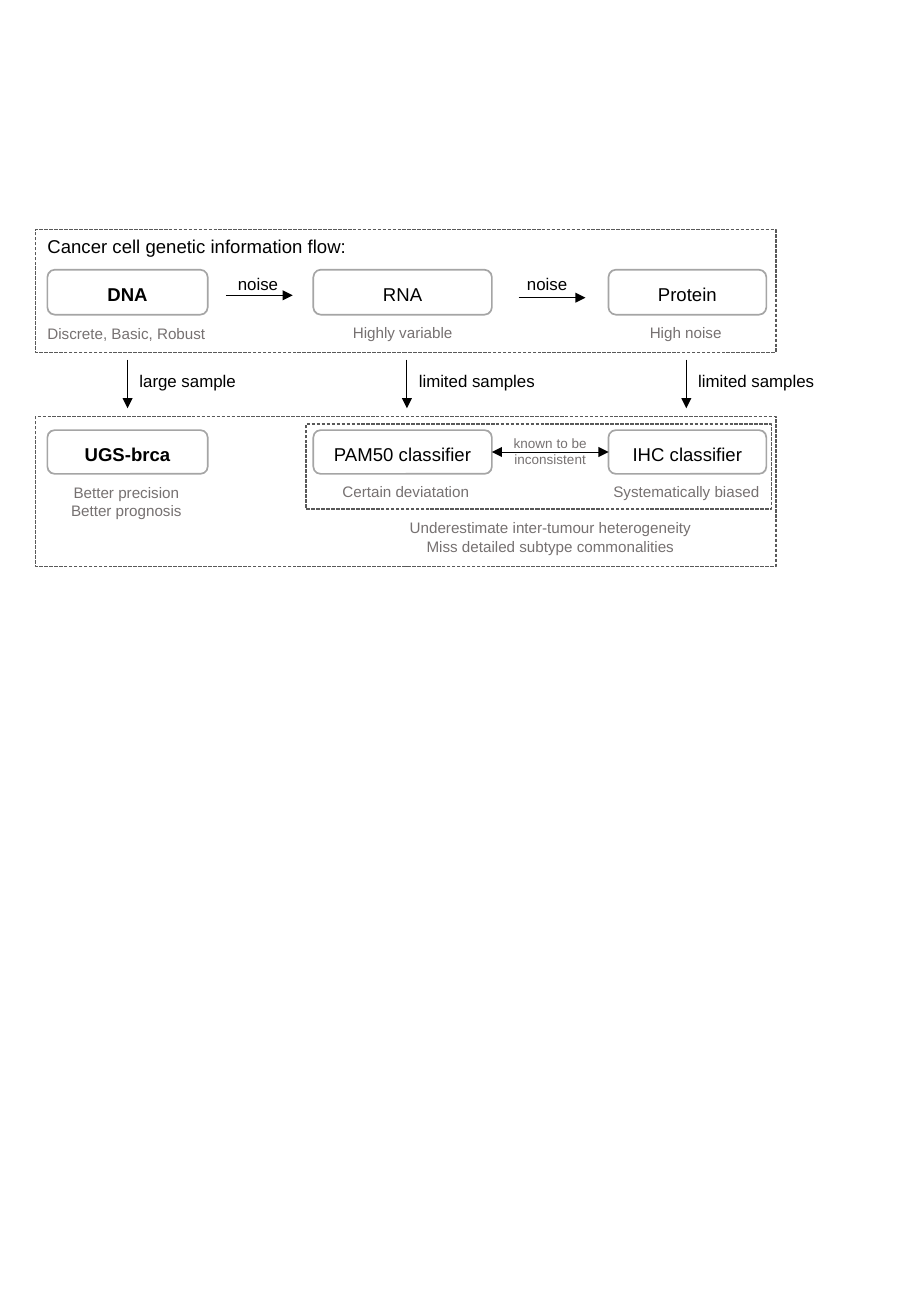
from lxml.etree import SubElement
from pptx import Presentation
from pptx.dml.color import RGBColor
from pptx.enum.dml import MSO_LINE
from pptx.enum.shapes import MSO_CONNECTOR, MSO_SHAPE
from pptx.enum.text import MSO_ANCHOR, MSO_AUTO_SIZE, PP_ALIGN
from pptx.oxml.ns import qn
from pptx.util import Inches, Pt

BLACK, GREY, EDGE, DASH = "000000", "767171", "A5A5A5", "595959"


def color(code):
    """Turn a hex string into a colour."""
    return RGBColor.from_string(code)


def grid(*cells):
    """Turn counts of tenth-inch columns or rows into lengths."""
    return [Inches(cell / 10) for cell in cells]


class Diagram:
    """Hold the shared style and the current slide."""

    font = "Arial"

    def __init__(self, page):
        """Remember the page to draw on."""
        self.page = page

    def add_lines(self, frame, lines, size, ink, align=PP_ALIGN.LEFT, bold=False, spacing=1.0):
        """Fill a text frame with one paragraph per line."""
        frame.word_wrap = True
        for index, line in enumerate(lines):
            para = frame.add_paragraph() if index else frame.paragraphs[0]
            para.alignment = align
            para.line_spacing = spacing
            para.space_before = Pt(0)
            span = para.add_run()
            span.text = line
            span.font.name = self.font
            span.font.size = Pt(size)
            span.font.bold = bold
            span.font.color.rgb = color(ink)

    def title(self, text, *place):
        """Move and format the title placeholder."""
        box = self.page.shapes.title
        box.left, box.top, box.width, box.height = grid(*place)
        frame = box.text_frame
        frame.auto_size = MSO_AUTO_SIZE.NONE
        frame.vertical_anchor = MSO_ANCHOR.MIDDLE
        self.add_lines(frame, [text], 11, BLACK)

    def outline(self, kind, place, edge, weight):
        """Add an unfilled, outlined shape."""
        box = self.page.shapes.add_shape(kind, *grid(*place))
        box.shadow.inherit = False
        box.fill.background()
        box.line.color.rgb = color(edge)
        box.line.width = Pt(weight)
        return box

    def frame(self, *place):
        """Add a dashed group frame."""
        box = self.outline(MSO_SHAPE.RECTANGLE, place, DASH, 0.75)
        box.line.dash_style = MSO_LINE.SQUARE_DOT

    def node(self, text, *place, bold=False):
        """Add a rounded box with a centred name."""
        box = self.outline(MSO_SHAPE.FLOWCHART_ALTERNATE_PROCESS, place, EDGE, 1)
        box.text_frame.vertical_anchor = MSO_ANCHOR.MIDDLE
        self.add_lines(box.text_frame, [text], 11, BLACK, PP_ALIGN.CENTER, bold, 1.2)

    def label(self, lines, *place, size=10, ink=BLACK, align=PP_ALIGN.LEFT):
        """Add a free text label."""
        box = self.page.shapes.add_textbox(*grid(*place))
        self.add_lines(box.text_frame, lines, size, ink, align)

    def note(self, lines, center, top, width, height=2.5, size=9):
        """Add a grey remark centred on a column position."""
        self.label(lines, center - width / 2, top, width, height,
                   size=size, ink=GREY, align=PP_ALIGN.CENTER)

    def arrow(self, *ends, both=False):
        """Add an arrow with one or two heads."""
        link = self.page.shapes.add_connector(MSO_CONNECTOR.STRAIGHT, *grid(*ends))
        link.line.color.rgb = color(BLACK)
        link.line.width = Pt(0.5)
        properties = link._element.spPr
        stroke = properties.find(qn("a:ln"))
        for tip in ("a:headEnd", "a:tailEnd") if both else ("a:tailEnd",):
            SubElement(stroke, qn(tip), type="triangle")
        SubElement(properties, qn("a:effectLst"))


def main():
    """Build and save the slide."""
    deck = Presentation()
    deck.slide_width, deck.slide_height = grid(75, 108.3)
    page = deck.slides.add_slide(deck.slide_layouts[5])
    diagram = Diagram(page)

    diagram.frame(2.9, 18.9, 61, 10.1)
    diagram.frame(2.9, 34.3, 61, 12.3)
    diagram.frame(25.2, 34.9, 38.3, 7)
    diagram.title("Cancer cell genetic information flow:", 2.9, 18.9, 61, 2.7)

    stages = [
        (3.9, 13.2, 10.5, "DNA", "UGS-brca", "large sample", True),
        (25.8, 14.7, 33.5, "RNA", "PAM50 classifier", "limited samples", False),
        (50.1, 13, 56.5, "Protein", "IHC classifier", "limited samples", False),
    ]
    for left, width, axis, molecule, method, sample, bold in stages:
        diagram.node(molecule, left, 22.2, width, 3.7, bold=bold)
        diagram.node(method, left, 35.4, width, 3.6, bold=bold)
        diagram.arrow(axis, 29.6, axis, 33.6)
        diagram.label([sample], axis, 30, 12.4, 2.7)

    for start, row, text_left in [(18.6, 24.3, 18.6), (42.7, 24.5, 42.4)]:
        diagram.arrow(start, row, start + 5.5, row)
        diagram.label(["noise"], text_left, 22, 5.8, 2.7)
    diagram.arrow(40.5, 37.2, 50.1, 37.2, both=True)

    diagram.note(["known to be inconsistent"], 45.3, 35.3, 9.6, 3.7, size=8)
    diagram.note(["Discrete, Basic, Robust"], 10.4, 26.2, 15.4)
    diagram.note(["Highly variable"], 33.15, 26.1, 13.7)
    diagram.note(["High noise"], 56.45, 26.1, 13.7)
    diagram.note(["Better precision", "Better prognosis"], 10.4, 39.3, 13.7, 4)
    diagram.note(["Certain deviatation"], 33.4, 39.2, 13.7)
    diagram.note(["Systematically biased"], 56.5, 39.2, 14.5)
    diagram.note(["Underestimate inter-tumour heterogeneity",
                  "Miss detailed subtype commonalities"], 45.3, 42.2, 28, 4)

    deck.save("out.pptx")


if __name__ == "__main__":
    main()
